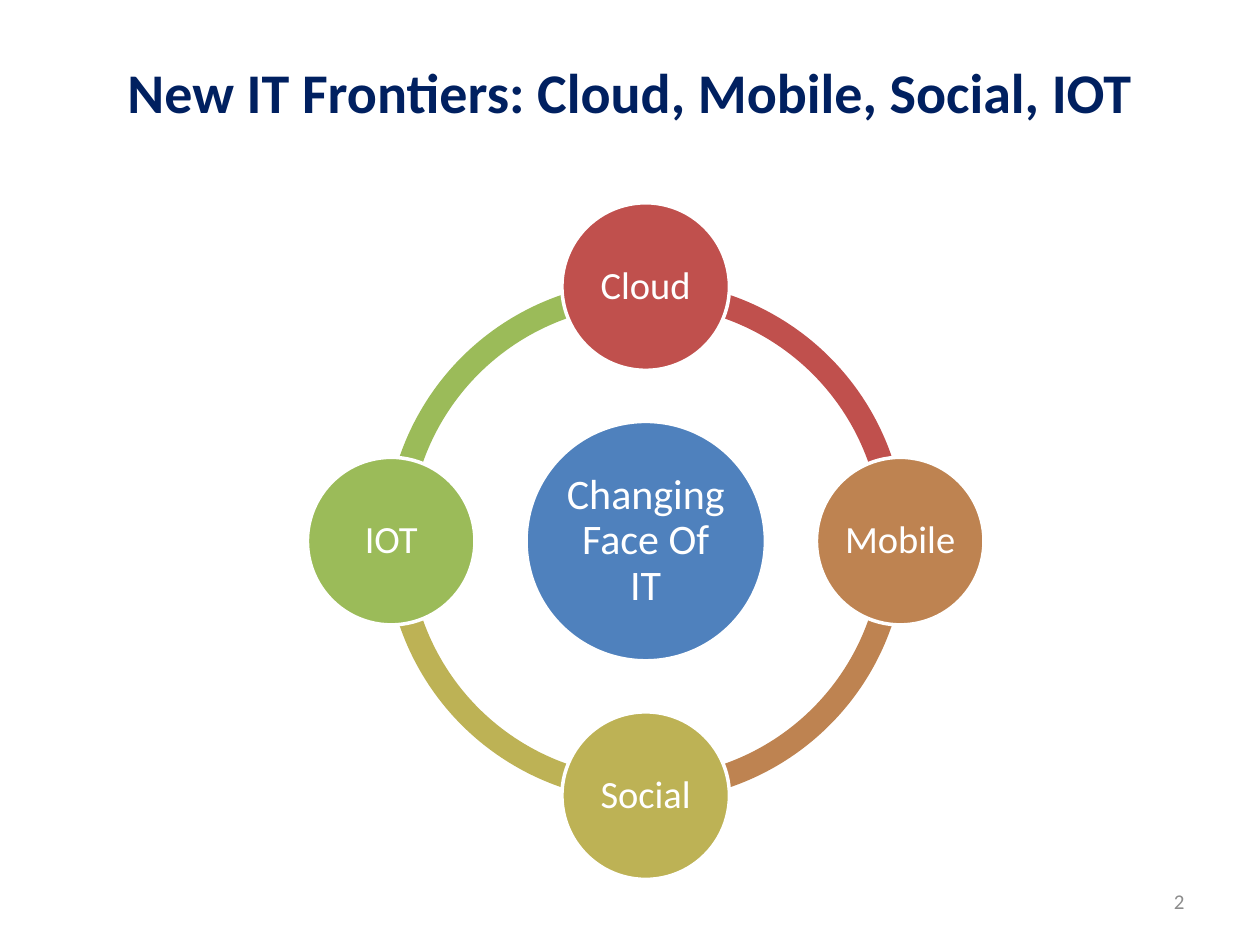
"""Build the slide on the new IT frontiers around a changing IT core."""
from math import cos, radians, sin

from pptx import Presentation
from pptx.dml.color import RGBColor
from pptx.enum.shapes import MSO_SHAPE as Preset
from pptx.enum.text import MSO_ANCHOR as Anchor, PP_ALIGN as Align
from pptx.util import Inches, Pt

NAVY = RGBColor(0x00, 0x20, 0x60)
GRAY = RGBColor(0x8C, 0x8C, 0x8C)
WHITE = RGBColor(0xFF, 0xFF, 0xFF)
BLUE = RGBColor(0x4F, 0x81, 0xBD)
RED = RGBColor(0xC0, 0x50, 0x4D)
BROWN = RGBColor(0xBE, 0x83, 0x51)
OLIVE = RGBColor(0xBD, 0xB2, 0x55)
GREEN = RGBColor(0x9B, 0xBB, 0x59)

FRONTIERS = [("Cloud", RED), ("Mobile", BROWN), ("Social", OLIVE), ("IOT", GREEN)]
CENTER_X, CENTER_Y = 5.125, 4.295
ORBIT = 2.02
RING_SIZE, CORE_SIZE, FRONTIER_SIZE = 4.13, 1.9, 1.33
RING_THICKNESS = 0.046
ANGLE_UNITS = 0.6


def write(frame, text, size, color, align, bold=False, spacing=1.0, inset=None):
    """Fill a text frame with one formatted paragraph."""
    frame.word_wrap = True
    frame.vertical_anchor = Anchor.MIDDLE
    if inset is not None:
        for side in ("left", "right", "top", "bottom"):
            setattr(frame, f"margin_{side}", Inches(inset))
    paragraph = frame.paragraphs[0]
    paragraph.alignment = align
    paragraph.line_spacing = spacing
    run = paragraph.add_run()
    run.text = text
    formats = {"name": "Calibri", "size": Pt(size), "bold": bold}
    for key, value in formats.items():
        setattr(run.font, key, value)
    run.font.color.rgb = color


def place(shape, left, top, width, height):
    """Set the position and size of a shape in inches."""
    bounds = {"left": left, "top": top, "width": width, "height": height}
    for key, value in bounds.items():
        setattr(shape, key, Inches(value))


def add_centered(slide, preset, x, y, size, color):
    """Add a filled square-bounded shape around a center point."""
    shape = slide.shapes.add_shape(
        preset, Inches(x - size / 2), Inches(y - size / 2), Inches(size), Inches(size))
    shape.shadow.inherit = False
    shape.fill.solid()
    shape.fill.fore_color.rgb = color
    return shape


def add_arc(slide, start, color):
    """Add the quarter of the ring that begins at an angle in degrees."""
    arc = add_centered(slide, Preset.BLOCK_ARC, CENTER_X, CENTER_Y, RING_SIZE, color)
    arc.line.fill.background()
    end = (start + 90) % 360
    for index, value in enumerate((start * ANGLE_UNITS, end * ANGLE_UNITS, RING_THICKNESS)):
        arc.adjustments[index] = value


def add_circle(slide, text, x, y, size, color, font_size):
    """Add a labelled circle with a white outline."""
    circle = add_centered(slide, Preset.OVAL, x, y, size, color)
    circle.line.color.rgb = WHITE
    circle.line.width = Pt(2)
    write(circle.text_frame, text, font_size, WHITE, Align.CENTER, spacing=0.9, inset=0.03)


def main():
    """Build and save the slide."""
    deck = Presentation()
    deck.slide_width, deck.slide_height = Inches(10), Inches(7.5)
    slide = deck.slides.add_slide(deck.slide_layouts[5])

    title = slide.shapes.title
    place(title, 0.5, 0.23, 9, 0.98)
    write(title.text_frame, "New IT Frontiers: Cloud, Mobile, Social, IOT", 32, NAVY,
          Align.CENTER, bold=True)

    page_number = slide.shapes.add_textbox(
        Inches(7.17), Inches(6.95), Inches(2.33), Inches(0.4))
    write(page_number.text_frame, "2", 12, GRAY, Align.RIGHT)

    angles = [(270 + 90 * step) % 360 for step in range(len(FRONTIERS))]
    for angle, (_, color) in reversed(list(zip(angles, FRONTIERS))):
        add_arc(slide, angle, color)
    add_circle(slide, "Changing Face Of IT", CENTER_X, CENTER_Y, CORE_SIZE, BLUE, 24)
    for angle, (label, color) in zip(angles, FRONTIERS):
        x = CENTER_X + ORBIT * cos(radians(angle))
        y = CENTER_Y + ORBIT * sin(radians(angle))
        add_circle(slide, label, x, y, FRONTIER_SIZE, color, 22)

    deck.save("out.pptx")


if __name__ == "__main__":
    main()
